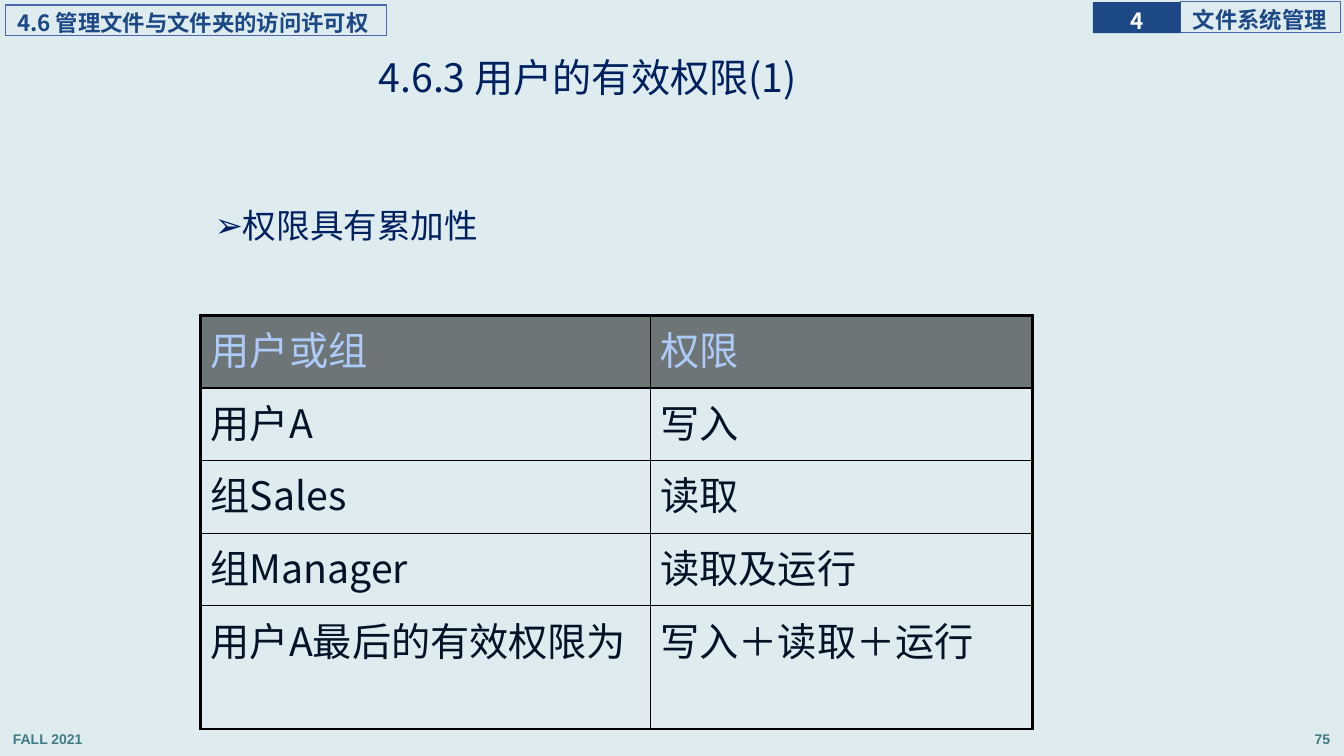
import pptx
import pptx.util
import pptx.dml.color
import pptx.enum.shapes
import pptx.enum.text
import pptx.oxml
import pptx.oxml.ns

Inches, Pt = pptx.util.Inches, pptx.util.Pt
ALIGN = pptx.enum.text.PP_ALIGN
ANCHOR = pptx.enum.text.MSO_ANCHOR
qn = pptx.oxml.ns.qn
NS = pptx.oxml.ns.nsdecls("a")
CJK = "Noto Sans CJK SC"
NAVY, BLUE, TEAL = "002060", "1C4885", "417B85"


def rgb(color):
    return pptx.dml.color.RGBColor.from_string(color)


def write(tf, text, size=16, color=BLUE, font=CJK, bold=False, align=ALIGN.LEFT,
          line=1.0, before=0, after=0, anchor=ANCHOR.TOP, inset=None, wrap=True):
    """Fill a text frame; before and after are percentages of a line."""
    tf.word_wrap = wrap
    tf.auto_size = pptx.enum.text.MSO_AUTO_SIZE.NONE
    tf.vertical_anchor = anchor
    if inset:
        tf.margin_left, tf.margin_top, tf.margin_right, tf.margin_bottom = map(Inches, inset)
    p = tf.paragraphs[0]
    p.alignment, p.line_spacing = align, line
    p.space_before = p.space_after = Pt(0)
    for tag, share in (("a:spcBef", before), ("a:spcAft", after)):
        spacing = p._p.pPr.find(qn(tag))
        spacing.remove(spacing[0])
        spacing.append(pptx.oxml.parse_xml(f'<a:spcPct {NS} val="{share * 1000}"/>'))
    r = p.add_run()
    r.text = text
    r.font.size, r.font.bold, r.font.name = Pt(size), bold, font
    r.font.color.rgb = rgb(color)
    r._r.rPr.append(pptx.oxml.parse_xml(f'<a:ea {NS} typeface="{font}"/>'))
    return p


prs = pptx.Presentation()
prs.slide_width, prs.slide_height = Inches(13.33), Inches(7.5)
s = prs.slides.add_slide(prs.slide_layouts[1])
s.background.fill.solid()
s.background.fill.fore_color.rgb = rgb("DEECEF")

# Footer: term and page number
for text, left, align in (("FALL 2021", 0.03, ALIGN.LEFT), ("75", 10.51, ALIGN.RIGHT)):
    sp = s.shapes.add_textbox(Inches(left), Inches(7.16), Inches(2.78), Inches(0.31))
    write(sp.text_frame, text, size=10, color=TEAL, font="Arial", bold=True,
          align=align, line=1.2, before=10, after=10)

# Header boxes: chapter name, chapter number, section name
headers = [
    ("文件系统管理", (11.71, 0.02, 1.59, 0.3), False, ALIGN.JUSTIFY),
    ("4", (10.84, 0.02, 0.87, 0.31), True, ALIGN.CENTER),
    ("4.6 管理文件与文件夹的访问许可权", (0.05, 0.05, 3.78, 0.3), False, ALIGN.LEFT),
]
for text, box, filled, align in headers:
    sp = s.shapes.add_shape(pptx.enum.shapes.MSO_SHAPE.RECTANGLE, *map(Inches, box))
    sp.shadow.inherit = False
    if filled:
        sp.fill.solid()
        sp.fill.fore_color.rgb = rgb(BLUE)
        sp.line.fill.background()
    else:
        sp.fill.background()
        sp.line.color.rgb = rgb("4A66AC")
        sp.line.width = Pt(0.75)
    write(sp.text_frame, text, color="FFFFFF" if filled else BLUE, bold=True,
          align=align, line=1.2, before=10, after=10, anchor=ANCHOR.MIDDLE,
          inset=(0 if filled else 0.12, 0, 0, 0), wrap=not filled)

# Title and bullet
title, body = s.shapes.title, s.placeholders[1]
for sp, box in ((title, (0.08, 0.47, 11.5, 0.64)), (body, (2.05, 2.04, 9.23, 4.61))):
    sp.left, sp.top, sp.width, sp.height = map(Inches, box)
margins = (0.08, 0.04, 0.08, 0.04)
write(title.text_frame, "4.6.3 用户的有效权限(1)", size=28, color=NAVY,
      align=ALIGN.CENTER, line=0.9, anchor=ANCHOR.MIDDLE, inset=margins)
p = write(body.text_frame, "权限具有累加性", size=24, color=NAVY, line=0.9, inset=margins)
p.space_before = Pt(7.5)
pPr = p._p.pPr
pPr.set("marL", str(Inches(0.19)))
pPr.set("indent", str(-Inches(0.19)))
pPr.append(pptx.oxml.parse_xml(f'<a:buChar {NS} char="➢"/>'))

# Permission table: thick outer frame, thin inner rules
rows = [
    ("用户或组", "权限"),
    ("用户A", "写入"),
    ("组Sales", "读取"),
    ("组Manager", "读取及运行"),
    ("用户A最后的有效权限为", "写入＋读取＋运行"),
]
frame = s.shapes.add_table(len(rows), 2, Inches(1.99), Inches(3.13), Inches(8.25), Inches(3.7))
table = frame.table
table.columns[0].width, table.columns[1].width = Inches(4.46), Inches(3.79)
last = len(rows) - 1
for i, row in enumerate(rows):
    table.rows[i].height = Inches(0.83 if i == last else 0.72)
    for j, text in enumerate(row):
        cell = table.cell(i, j)
        p = write(cell.text_frame, text, size=28, before=20,
                  color="ACCBF9" if i == 0 else "031227")
        tcPr = cell._tc.get_or_add_tcPr()
        outer = {"lnL": j == 0, "lnR": j == 1, "lnT": i == 0, "lnB": i == last}
        for side, thick in outer.items():
            tcPr.append(pptx.oxml.parse_xml(
                f'<a:{side} {NS} w="{Pt(2.25 if thick else 1)}"><a:solidFill>'
                f'<a:srgbClr val="000000"/></a:solidFill></a:{side}>'))
        if i == 0:
            cell.fill.solid()
            cell.fill.fore_color.rgb = rgb("000000")
            tcPr.find(qn("a:solidFill"))[0].append(
                pptx.oxml.parse_xml(f'<a:alpha {NS} val="50000"/>'))
        else:
            cell.fill.background()

prs.save("out.pptx")
